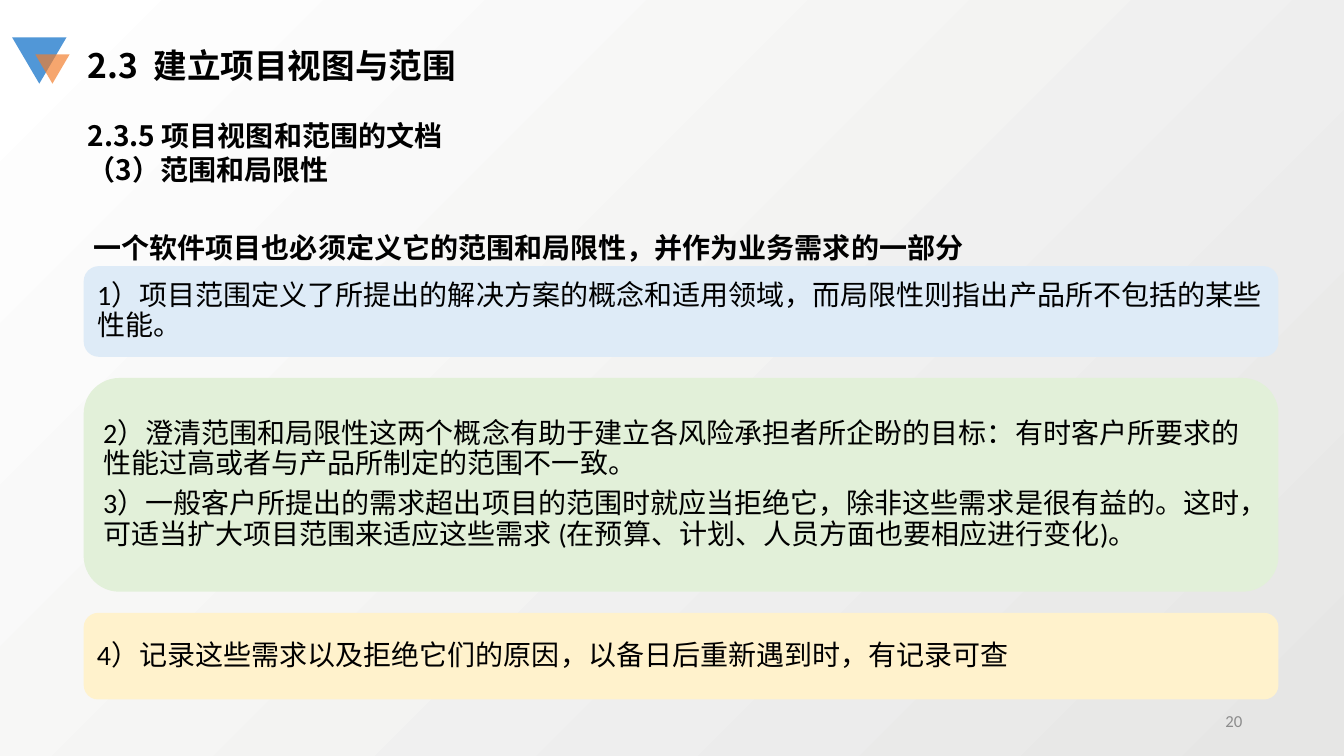
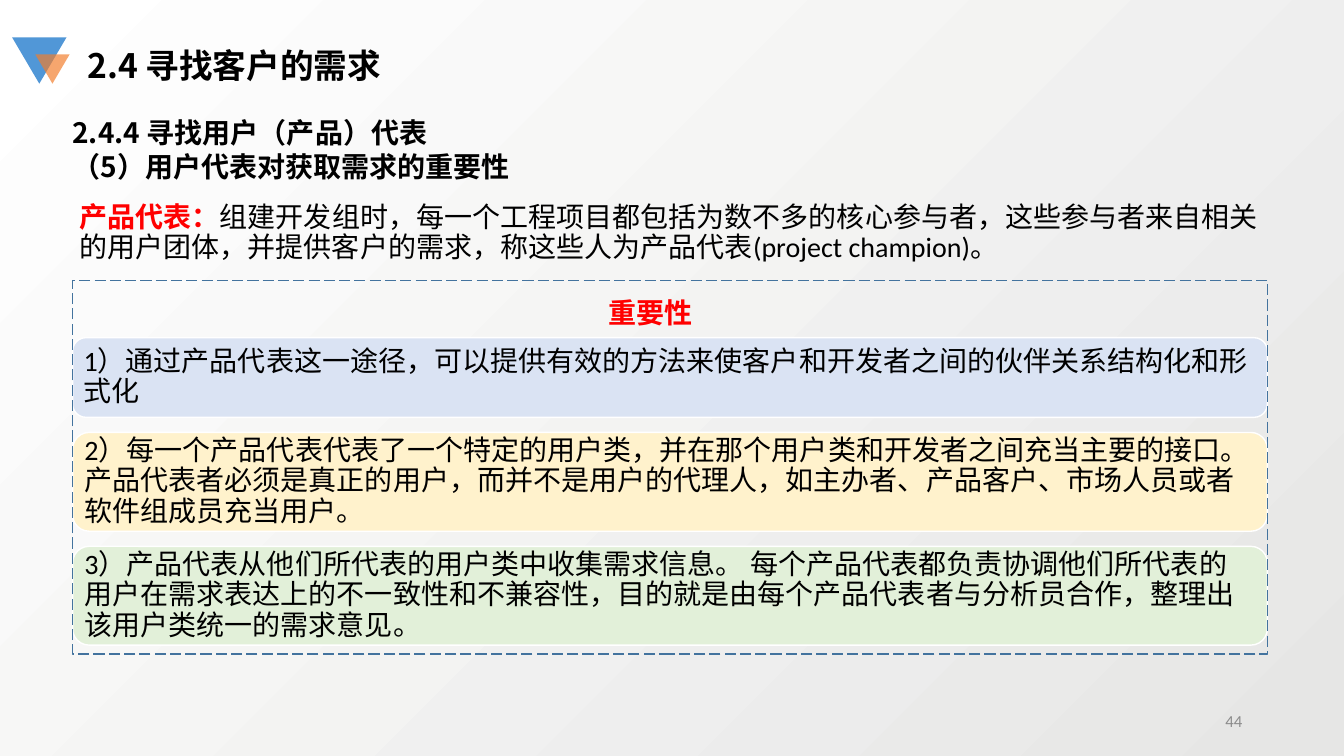
from dataclasses import dataclass

from lxml import etree
from pptx import Presentation
from pptx import util as u
from pptx.dml.color import RGBColor
from pptx.enum import dml, shapes, text
from pptx.oxml import ns

PX = 9144


@dataclass(frozen=True)
class Theme:
    """Colours, text styles and shared measures of the deck."""
    backdrop: tuple = ("E6E6E5", "FFFFFF")
    blue: str = "5197D7"
    orange: str = "F37D2A"
    pale_blue: str = "DEEBF7"
    pale_indigo: str = "DAE3F3"
    pale_green: str = "E2F0D9"
    pale_yellow: str = "FFF2CC"
    white: str = "FFFFFF"
    frame: str = "43739E"
    cjk: str = "Noto Sans CJK SC"
    bar_width: int = 1185


THEME = Theme()
STYLES = {
    "title": dict(size=24, name=THEME.cjk, bold=True, color="000000"),
    "heading": dict(size=20, name=THEME.cjk, bold=True, color="000000"),
    "lead": dict(size=20, name="Arial", bold=True, color="000000"),
    "body": dict(size=20, name="Calibri", bold=False, color="000000"),
    "accent": dict(size=20, name="Calibri", bold=True, color="FF0000"),
    "number": dict(size=12, name="Calibri", bold=False, color="8C8C8C"),
}
BODY_SPACING = dict(line_spacing=0.9, space_after=u.Pt(7))


def px(*lengths):
    """Turn px lengths into EMU."""
    return [u.Emu(length * PX) for length in lengths]


def rgb(code):
    """Turn a hex code into a colour."""
    return RGBColor.from_string(code)


def assign(target, values):
    """Set attributes of an object from a dict."""
    for name, value in values.items():
        setattr(target, name, value)


def style_span(span, style):
    """Apply a named text style to a run."""
    values = dict(STYLES[style])
    span.font.color.rgb = rgb(values.pop("color"))
    values["size"] = u.Pt(values["size"])
    assign(span.font, values)
    properties = span._r.get_or_add_rPr()
    properties.set("lang", "zh-CN")
    etree.SubElement(properties, ns.qn("a:ea"), typeface=THEME.cjk)


def write(shape, paragraphs, spacing, **frame_format):
    """Fill a shape with paragraphs, each a list of (style, words) spans."""
    frame = shape.text_frame
    assign(frame, {"word_wrap": True, **frame_format})
    for index, spans in enumerate(paragraphs):
        para = frame.add_paragraph() if index else frame.paragraphs[0]
        assign(para, {"alignment": text.PP_ALIGN.LEFT, **spacing})
        for style, words in spans:
            span = para.add_run()
            span.text = words
            style_span(span, style)


def add_text(page, place, paragraphs, spacing=None, **frame_format):
    """Add a text box."""
    box = page.shapes.add_textbox(*px(*place))
    write(box, paragraphs, spacing or {}, **frame_format)


def add_shape(parent, kind, place, fill=None, line=None):
    """Add a preset shape without shadow."""
    shape = parent.shapes.add_shape(kind, *px(*place))
    shape.shadow.inherit = False
    if fill:
        shape.fill.solid()
        shape.fill.fore_color.rgb = rgb(fill)
    else:
        shape.fill.background()
    if line:
        shape.line.color.rgb = rgb(line)
        shape.line.width = u.Pt(1)
    else:
        shape.line.fill.background()
    return shape


def add_emblem(page):
    """Add the two overlapping triangles beside the title."""
    group = page.shapes.add_group_shape()
    triangle = shapes.MSO_SHAPE.ISOSCELES_TRIANGLE
    large = add_shape(group, triangle, (12, 37, 54, 46), THEME.blue)
    small = add_shape(group, triangle, (35, 54, 34, 29), THEME.orange)
    large.rotation = small.rotation = 180
    colour = small._element.spPr.find(".//" + ns.qn("a:srgbClr"))
    etree.SubElement(colour, ns.qn("a:alpha"), val="68000")


def add_bars(page, left, top, gap, margin, bars, line=None):
    """Stack rounded bars, each (height, fill, lines of text)."""
    margins = dict.fromkeys(
        ("margin_left", "margin_right", "margin_top", "margin_bottom"), px(margin)[0])
    for height, fill, lines in bars:
        bar = add_shape(page, shapes.MSO_SHAPE.ROUNDED_RECTANGLE,
                        (left, top, THEME.bar_width, height), fill, line)
        write(bar, [[("body", words)] for words in lines], BODY_SPACING,
              vertical_anchor=text.MSO_ANCHOR.MIDDLE, **margins)
        top += height + gap


def add_page(deck, title, number, heading_place, headings):
    """Add a page with emblem, title, headings and page number."""
    page = deck.slides.add_slide(deck.slide_layouts[6])
    add_emblem(page)
    add_text(page, (77, 40, 849, 50), [[("title", title)]])
    add_text(page, heading_place, [[("heading", words)] for words in headings])
    add_text(page, (942, 695, 300, 40), [[("number", number)]],
             dict(alignment=text.PP_ALIGN.RIGHT), vertical_anchor=text.MSO_ANCHOR.MIDDLE)
    return page


def set_backdrop(deck):
    """Give the master its diagonal gradient."""
    fill = deck.slide_master.background.fill
    fill.gradient()
    fill.gradient_angle = 135
    for stop, code, position in zip(fill.gradient_stops, THEME.backdrop, (0, 1)):
        stop.color.rgb = rgb(code)
        stop.position = position


def build_scope(deck):
    """Build the page on scope and limitations."""
    page = add_page(deck, "2.3  建立项目视图与范围", "20", (77, 113, 849, 77),
                    ["2.3.5 项目视图和范围的文档", "（3）范围和局限性"])
    add_bars(page, 83, 264, 21, 9, [
        (90, THEME.pale_blue, [
            "1）项目范围定义了所提出的解决方案的概念和适用领域，而局限性则指出产品所不包括的某些性能。"]),
        (212, THEME.pale_green, [
            "2）澄清范围和局限性这两个概念有助于建立各风险承担者所企盼的目标：有时客户所要求的性能过高或者与产品所制定的范围不一致。",
            "3）一般客户所提出的需求超出项目的范围时就应当拒绝它，除非这些需求是很有益的。这时，可适当扩大项目范围来适应这些需求 (在预算、计划、人员方面也要相应进行变化)。"]),
        (86, THEME.pale_yellow, [
            "4）记录这些需求以及拒绝它们的原因，以备日后重新遇到时，有记录可查"]),
    ])
    add_text(page, (83, 190, 1115, 65),
             [[("lead", "一个软件项目也必须定义它的范围和局限性，并作为业务需求的一部分")]],
             dict(line_spacing=2.0))


def build_champion(deck):
    """Build the page on the importance of user representatives."""
    page = add_page(deck, "2.4 寻找客户的需求", "44", (62, 110, 919, 77),
                    ["2.4.4 寻找用户（产品）代表", "（5）用户代表对获取需求的重要性"])
    add_bars(page, 72, 335, 15, 7, [
        (79, THEME.pale_indigo, [
            "1）通过产品代表这一途径，可以提供有效的方法来使客户和开发者之间的伙伴关系结构化和形式化"]),
        (98, THEME.pale_yellow, [
            "2）每一个产品代表代表了一个特定的用户类，并在那个用户类和开发者之间充当主要的接口。产品代表者必须是真正的用户，而并不是用户的代理人，如主办者、产品客户、市场人员或者软件组成员充当用户。"]),
        (98, THEME.pale_green, [
            "3）产品代表从他们所代表的用户类中收集需求信息。 每个产品代表都负责协调他们所代表的用户在需求表达上的不一致性和不兼容性，目的就是由每个产品代表者与分析员合作，整理出该用户类统一的需求意见。"]),
    ], THEME.white)
    frame = add_shape(page, shapes.MSO_SHAPE.RECTANGLE,
                      (72, 278, THEME.bar_width, 371), line=THEME.frame)
    frame.line.dash_style = dml.MSO_LINE.LONG_DASH
    add_text(page, (69, 197, 1192, 71), [[
        ("accent", "产品代表："),
        ("body", "组建开发组时，每一个工程项目都包括为数不多的核心参与者，这些参与者来自相关的用户团体，并提供客户的需求，称这些人为产品代表(project champion)。"),
    ]], BODY_SPACING)
    add_text(page, (594, 288, 104, 44), [[("accent", "重要性")]], word_wrap=False)


def main():
    """Build and save the deck."""
    deck = Presentation()
    deck.slide_width, deck.slide_height = px(1333, 750)
    set_backdrop(deck)
    build_scope(deck)
    build_champion(deck)
    deck.save("out.pptx")


if __name__ == "__main__":
    main()
